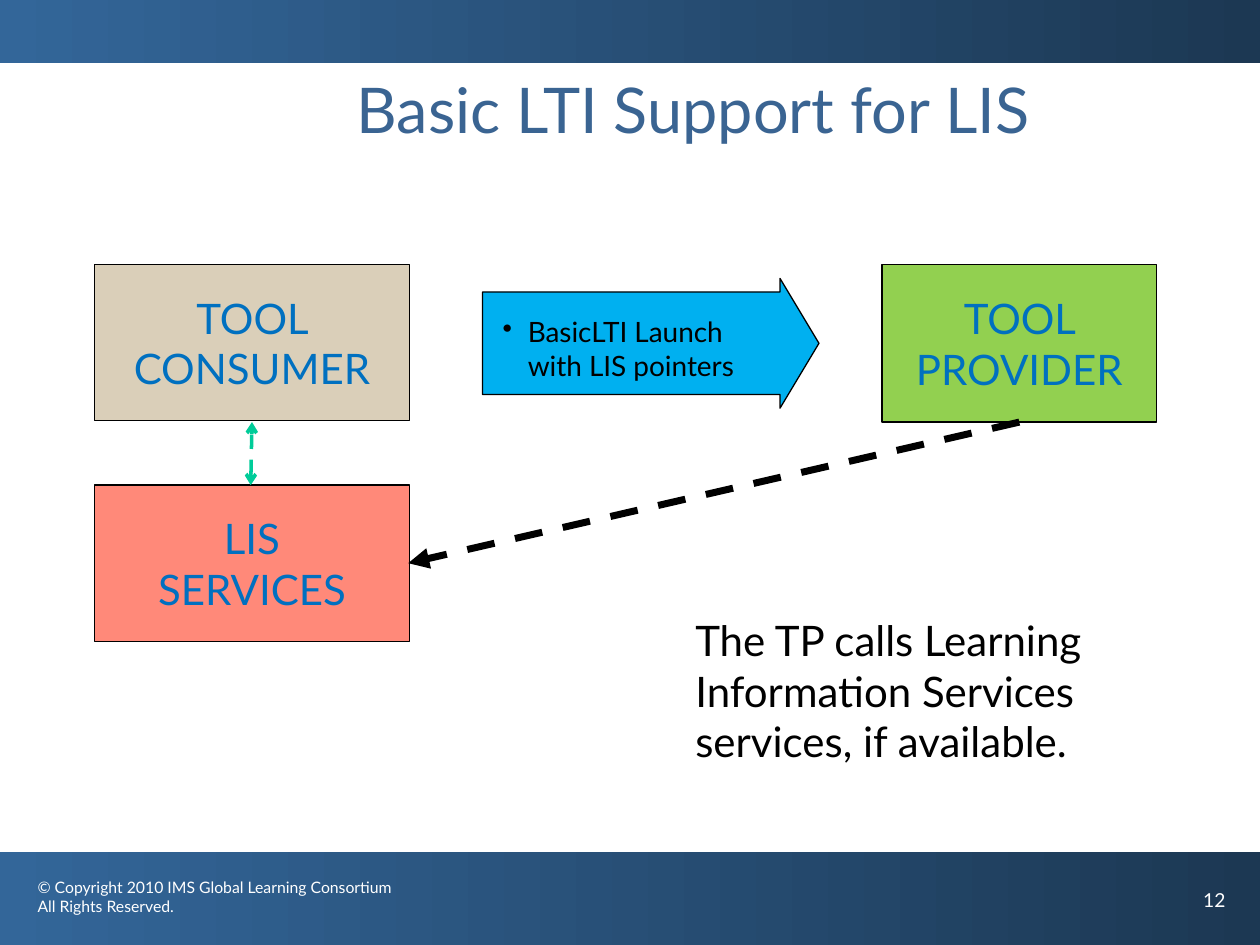
from lxml import etree
from pptx import Presentation
from pptx.dml.color import RGBColor
from pptx.enum.dml import MSO_LINE
from pptx.enum.shapes import MSO_CONNECTOR, MSO_SHAPE
from pptx.enum.text import MSO_ANCHOR, MSO_AUTO_SIZE, PP_ALIGN
from pptx.oxml.ns import qn
from pptx.util import Inches, Pt

LEFT, CENTER = PP_ALIGN.LEFT, PP_ALIGN.CENTER
TOP, MIDDLE = MSO_ANCHOR.TOP, MSO_ANCHOR.MIDDLE
RECTANGLE, RIGHT_ARROW = MSO_SHAPE.RECTANGLE, MSO_SHAPE.RIGHT_ARROW
STRAIGHT, DASH = MSO_CONNECTOR.STRAIGHT, MSO_LINE.DASH
NO_AUTOFIT = MSO_AUTO_SIZE.NONE
color = RGBColor.from_string


def write(box, lines, size, ink, align=LEFT, anchor=TOP):
    frame = box.text_frame
    frame.word_wrap = True
    frame.auto_size = NO_AUTOFIT
    frame.vertical_anchor = anchor
    frame.text = "\n".join(lines)
    for para in frame.paragraphs:
        para.alignment = align
        para.font.name = "Lato"
        para.font.size = Pt(size)
        para.font.color.rgb = color(ink)


def add_block(shapes, kind, area, fill):
    block = shapes.add_shape(kind, *map(Inches, area))
    block.shadow.inherit = False
    block.fill.solid()
    block.fill.fore_color.rgb = color(fill)
    block.line.color.rgb = color("000000")
    block.line.width = Pt(0.75)
    return block


deck = Presentation()
deck.slide_width, deck.slide_height = Inches(10), Inches(7.5)
page = deck.slides.add_slide(deck.slide_layouts[5])

# Header and footer bands
for top, height in ((0, 0.5), (6.76, 0.74)):
    band = page.shapes.add_shape(RECTANGLE, 0, Inches(top), deck.slide_width, Inches(height))
    band.shadow.inherit = False
    band.line.fill.background()
    band.fill.gradient()
    band.fill.gradient_angle = 0
    for stop, shade in zip(band.fill.gradient_stops, ("336699", "1C3853")):
        stop.color.rgb = color(shade)

# Title
title = page.shapes.title
title.left, title.top, title.width, title.height = map(Inches, (1.25, 0.55, 8.5, 1.25))
write(title, ["Basic LTI Support for LIS"], 36, "3A6492", CENTER)
title.text_frame.paragraphs[0].line_spacing = 0.95

# Footer texts and remark
copyright_lines = ["© Copyright 2010 IMS Global Learning Consortium", "All Rights Reserved."]
remark_lines = ["The TP calls Learning Information Services", "services, if available."]
for area, lines, size, ink in (
    ((0.2, 6.92, 3.13, 0.5), copyright_lines, 9, "FFFFFF"),
    ((9.45, 7, 0.55, 0.5), ["12"], 11, "FFFFFF"),
    ((5.42, 4.83, 3.92, 1.3), remark_lines, 24, "000000"),
):
    write(page.shapes.add_textbox(*map(Inches, area)), lines, size, ink)

# System boxes
for area, fill, lines in (
    ((7, 2.1, 2.18, 1.25), "92D050", ["TOOL PROVIDER"]),
    ((0.75, 2.1, 2.5, 1.24), "DACFB9", ["TOOL CONSUMER"]),
    ((0.75, 3.85, 2.5, 1.24), "FF8979", ["LIS", "SERVICES"]),
):
    block = add_block(page.shapes, RECTANGLE, area, fill)
    write(block, lines, 24, "0070C0", CENTER, MIDDLE)

# Launch arrow with its bulleted label
launch = page.shapes.add_group_shape()
arrow = add_block(launch.shapes, RIGHT_ARROW, (3.83, 2.21, 2.67, 1.03), "00B0F0")
arrow.adjustments[0], arrow.adjustments[1] = 0.79, 0.3
label = launch.shapes.add_textbox(*map(Inches, (3.89, 2.45, 2.22, 0.9)))
label.text_frame.text = "BasicLTI Launch with LIS pointers"
write(label, [label.text_frame.text], 16, "000000")
props = label.text_frame.paragraphs[0]._p.get_or_add_pPr()
props.set("marL", str(Inches(0.2)))
props.set("indent", str(Inches(-0.2)))
bullet = etree.Element(qn("a:buChar"), char="•")
props.insert(0, bullet)

# Dashed links between the boxes
for start, end, ink, width, tips in (
    ((8.09, 3.35), (3.24, 4.47), "000000", 4, {"tailEnd": "triangle"}),
    ((1.99, 3.85), (2, 3.35), "00CC99", 2, {"headEnd": "arrow", "tailEnd": "arrow"}),
):
    link = page.shapes.add_connector(STRAIGHT, *map(Inches, start + end))
    link.line.color.rgb = color(ink)
    link.line.width = Pt(width)
    link.line.dash_style = DASH
    for tip, style in tips.items():
        etree.SubElement(link.line._get_or_add_ln(), qn(f"a:{tip}"), type=style)
    etree.SubElement(link._element.spPr, qn("a:effectLst"))

deck.save("out.pptx")
